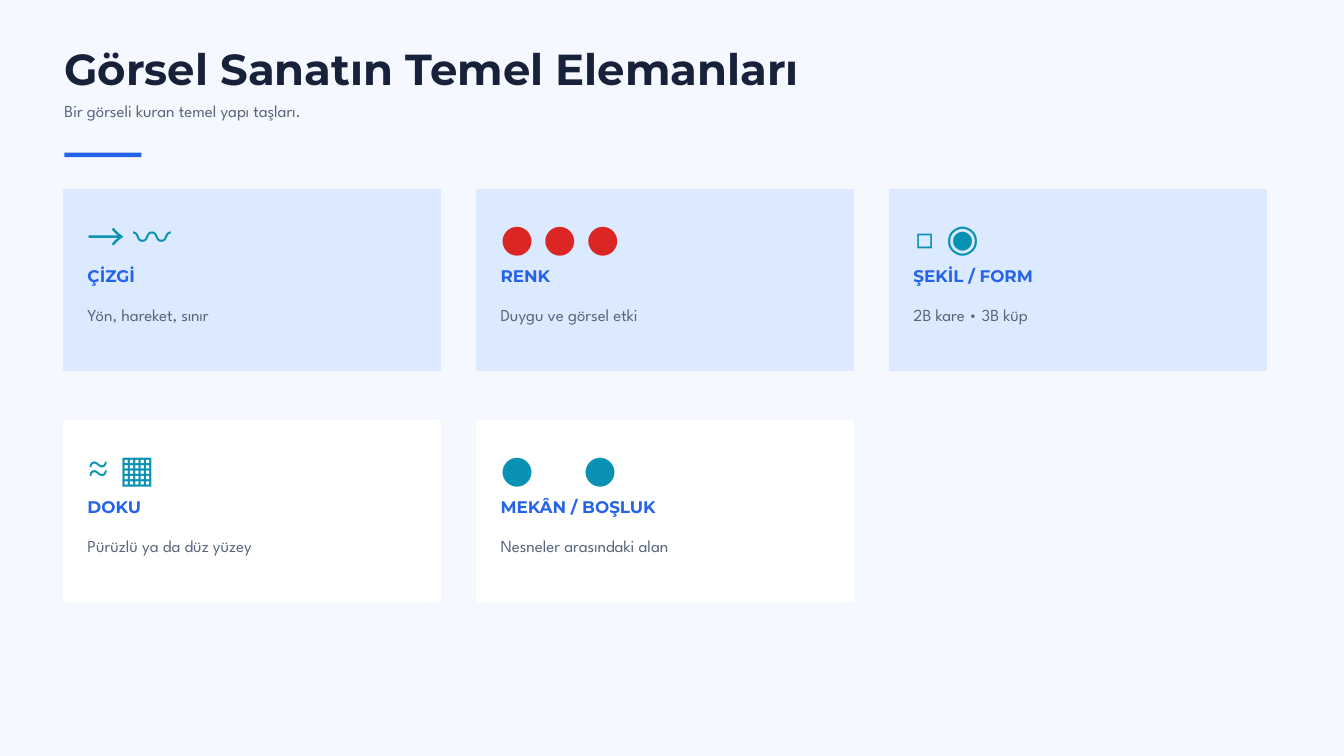
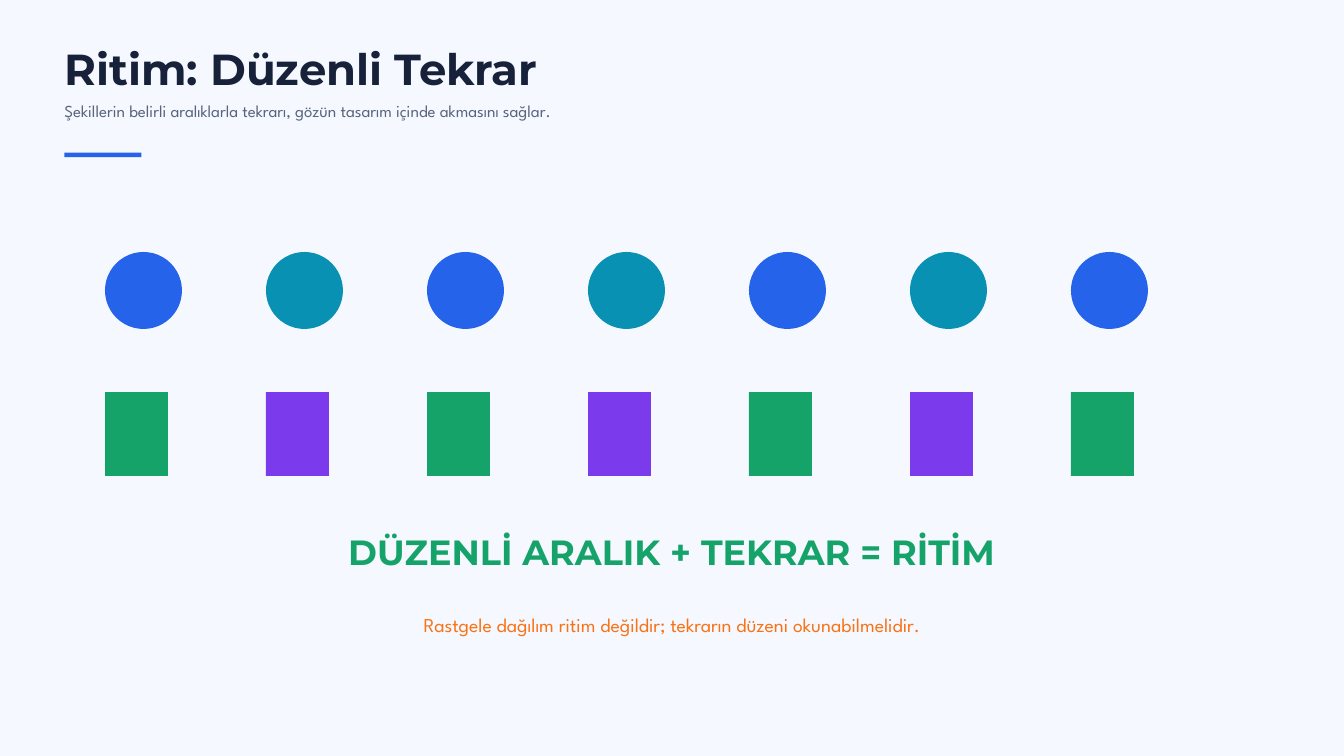
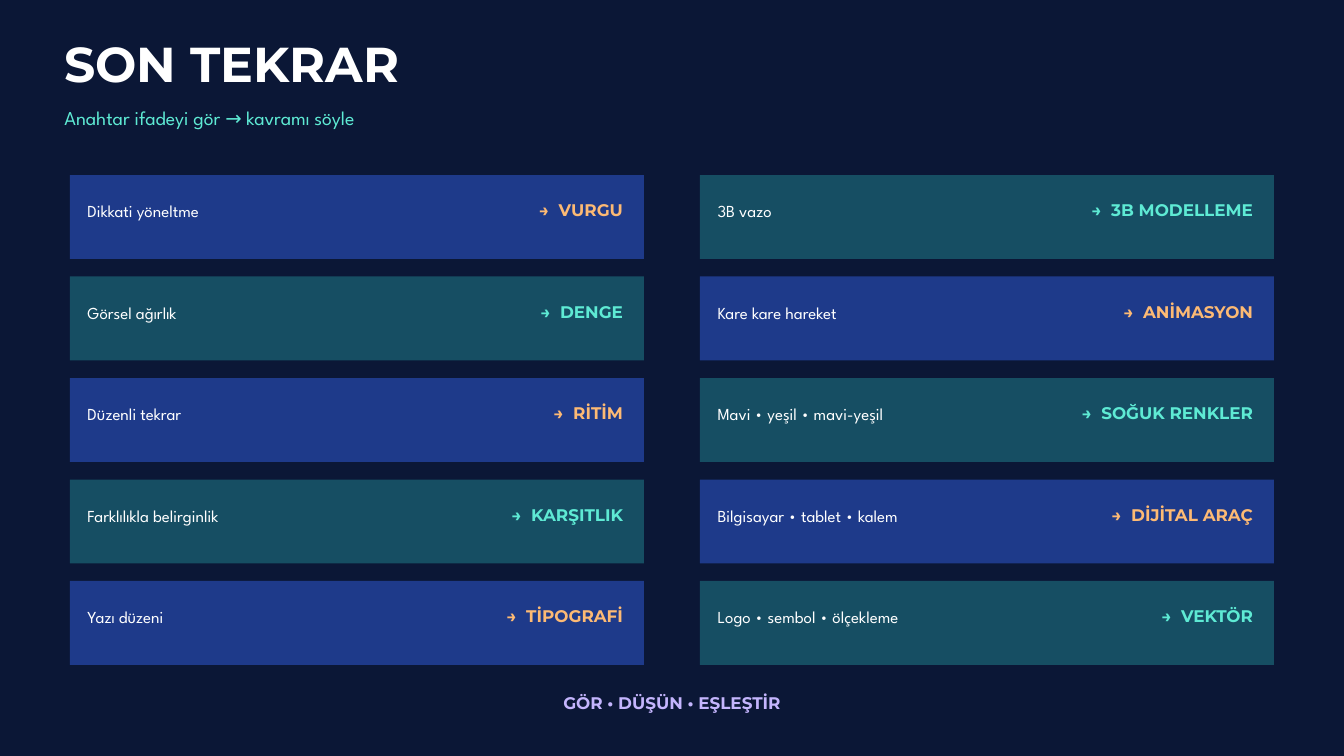
from pptx import Presentation
from pptx.dml.color import RGBColor
from pptx.enum.shapes import MSO_SHAPE as Shape
from pptx.enum.text import MSO_ANCHOR as Anchor, MSO_AUTO_SIZE as Fit, PP_ALIGN as Align
from pptx.util import Pt

# Colours
PALE = RGBColor(0xF5, 0xF8, 0xFF)
NIGHT = RGBColor(0x0B, 0x17, 0x36)
WHITE = RGBColor(0xFF, 0xFF, 0xFF)
INK = RGBColor(0x17, 0x21, 0x3A)
GREY = RGBColor(0x58, 0x65, 0x7D)
BLUE = RGBColor(0x25, 0x63, 0xEB)
SKY = RGBColor(0xDB, 0xEA, 0xFE)
TEAL = RGBColor(0x08, 0x91, 0xB2)
RED = RGBColor(0xDC, 0x26, 0x26)
GREEN = RGBColor(0x16, 0xA3, 0x6A)
VIOLET = RGBColor(0x7C, 0x3A, 0xED)
ORANGE = RGBColor(0xF9, 0x73, 0x16)
NAVY = RGBColor(0x1E, 0x3A, 0x8A)
PETROL = RGBColor(0x16, 0x4E, 0x63)
MINT = RGBColor(0x5E, 0xEA, 0xD4)
PEACH = RGBColor(0xFD, 0xBA, 0x74)
LILAC = RGBColor(0xC4, 0xB5, 0xFD)

# Text styles: font, size, line height, bold
SANS, SPARTAN = "Montserrat", "League Spartan"
TITLE = (SANS, 46.5, 48.8, True)
FINAL = (SANS, 52.5, 54.6, True)
RULE = (SANS, 37.5, 39.4, True)
LABEL = (SANS, 18, 19.8, True)
ICON = (SANS, 40.5, 56.7, False)
BODY = (SPARTAN, 18, 22.5, False)
LEAD = (SPARTAN, 21, 27.3, False)


def draw(slide, kind, box, color):
    shape = slide.shapes.add_shape(kind, *[Pt(v) for v in box])
    shape.shadow.inherit = False
    shape.fill.solid()
    shape.fill.fore_color.rgb = color
    shape.line.fill.background()


def write(slide, box, parts, style, color, align=Align.LEFT, gap=0, shape=None):
    """Set the parts in one line, parted by a space widened by gap points."""
    font, size, line, bold = style
    box = [Pt(v) for v in box]
    shape = shape or slide.shapes.add_textbox(*box)
    shape.left, shape.top, shape.width, shape.height = box
    frame = shape.text_frame
    frame.margin_left = frame.margin_right = frame.margin_top = frame.margin_bottom = 0
    frame.word_wrap = True
    frame.auto_size = Fit.NONE
    frame.vertical_anchor = Anchor.TOP
    para = frame.paragraphs[0]
    para.alignment = align
    para.line_spacing = Pt(line)
    for i, part in enumerate(parts):
        for word in ([" ", part] if i else [part]):
            run = para.add_run()
            run.text = word
            run.font.name, run.font.size, run.font.bold = font, Pt(size), bold
            run.font.color.rgb = color
            if word == " " and gap:
                run.font._element.set("spc", str(gap * 100))


deck = Presentation()
deck.slide_width, deck.slide_height = Pt(1440), Pt(810)

# Shared heads of all slides
HEADS = [
    ("Görsel Sanatın Temel Elemanları", "Bir görseli kuran temel yapı taşları."),
    ("Ritim: Düzenli Tekrar",
     "Şekillerin belirli aralıklarla tekrarı, gözün tasarım içinde akmasını sağlar."),
    ("SON TEKRAR", "Anahtar ifadeyi gör → kavramı söyle"),
]
for head, sub in HEADS:
    slide = deck.slides.add_slide(deck.slide_layouts[5])
    dark = head == "SON TEKRAR"
    slide.background.fill.solid()
    slide.background.fill.fore_color.rgb = NIGHT if dark else PALE
    title = slide.shapes.title
    if dark:
        write(slide, (69, 44, 1050, 55.5), [head], FINAL, WHITE, shape=title)
        write(slide, (69, 111, 1050, 26.5), [sub], LEAD, MINT)
    else:
        write(slide, (69, 52.5, 1125, 50), [head], TITLE, INK, shape=title)
        write(slide, (69, 106.5, 1155, 22), [sub], BODY, GREY)
        draw(slide, Shape.RECTANGLE, (69, 163.5, 82.5, 5), BLUE)
basics, rhythm, review = deck.slides

# Slide 1: cards of the elements
CARDS = [
    (["→", "〰"], 0, TEAL, "ÇİZGİ", "Yön, hareket, sınır"),
    (["●", "●", "●"], 0, RED, "RENK", "Duygu ve görsel etki"),
    (["□", "◉"], 0, TEAL, "ŞEKİL / FORM", "2B kare • 3B küp"),
    (["≈", "▦"], 0, TEAL, "DOKU", "Pürüzlü ya da düz yüzey"),
    (["●", "●"], 43, TEAL, "MEKÂN / BOŞLUK", "Nesneler arasındaki alan"),
]
for i, (icons, gap, color, name, note) in enumerate(CARDS):
    row, col = divmod(i, 3)
    x, y = 67.5 + 442.5 * col, 202.5 + 247.5 * row
    draw(basics, Shape.RECTANGLE, (x, y, 405, 195), WHITE if row else SKY)
    x += 26.25
    write(basics, (x, y + 18.5, 353, 53.5), icons, ICON, color, gap=gap)
    write(basics, (x, y + 84, 353, 20), [name], LABEL, BLUE)
    write(basics, (x, y + 123.5, 353, 22), [note], BODY, GREY)

# Slide 2: two rows in steady rhythm
for i in range(7):
    x = 112.5 + 172.5 * i
    draw(rhythm, Shape.OVAL, (x, 270, 82.5, 82.5), TEAL if i % 2 else BLUE)
    draw(rhythm, Shape.RECTANGLE, (x, 420, 67.5, 90), VIOLET if i % 2 else GREEN)
write(rhythm, (165, 574.5, 1110, 40.5), ["DÜZENLİ ARALIK + TEKRAR = RİTİM"],
      RULE, GREEN, Align.CENTER)
write(rhythm, (225, 654.5, 990, 26.5),
      ["Rastgele dağılım ritim değildir; tekrarın düzeni okunabilmelidir."],
      LEAD, ORANGE, Align.CENTER)

# Slide 3: clues and answers, five to a column
PAIRS = [
    ("Dikkati yöneltme", "VURGU"),
    ("Görsel ağırlık", "DENGE"),
    ("Düzenli tekrar", "RİTİM"),
    ("Farklılıkla belirginlik", "KARŞITLIK"),
    ("Yazı düzeni", "TİPOGRAFİ"),
    ("3B vazo", "3B MODELLEME"),
    ("Kare kare hareket", "ANİMASYON"),
    ("Mavi • yeşil • mavi-yeşil", "SOĞUK RENKLER"),
    ("Bilgisayar • tablet • kalem", "DİJİTAL ARAÇ"),
    ("Logo • sembol • ölçekleme", "VEKTÖR"),
]
for i, (clue, answer) in enumerate(PAIRS):
    col, row = divmod(i, 5)
    x, y = 75 + 675 * col, 187.5 + 108.75 * row
    fill, color = (PETROL, MINT) if i % 2 else (NAVY, PEACH)
    draw(review, Shape.RECTANGLE, (x, y, 615, 90), fill)
    write(review, (x + 18.75, y + 27, 353, 22), [clue], BODY, WHITE)
    write(review, (x + 375, y + 28.5, 217.5, 20), ["→", answer], LABEL, color,
          Align.RIGHT, gap=5)
write(review, (360, 744, 720, 20), ["GÖR • DÜŞÜN • EŞLEŞTİR"], LABEL, LILAC, Align.CENTER)

deck.save("out.pptx")
